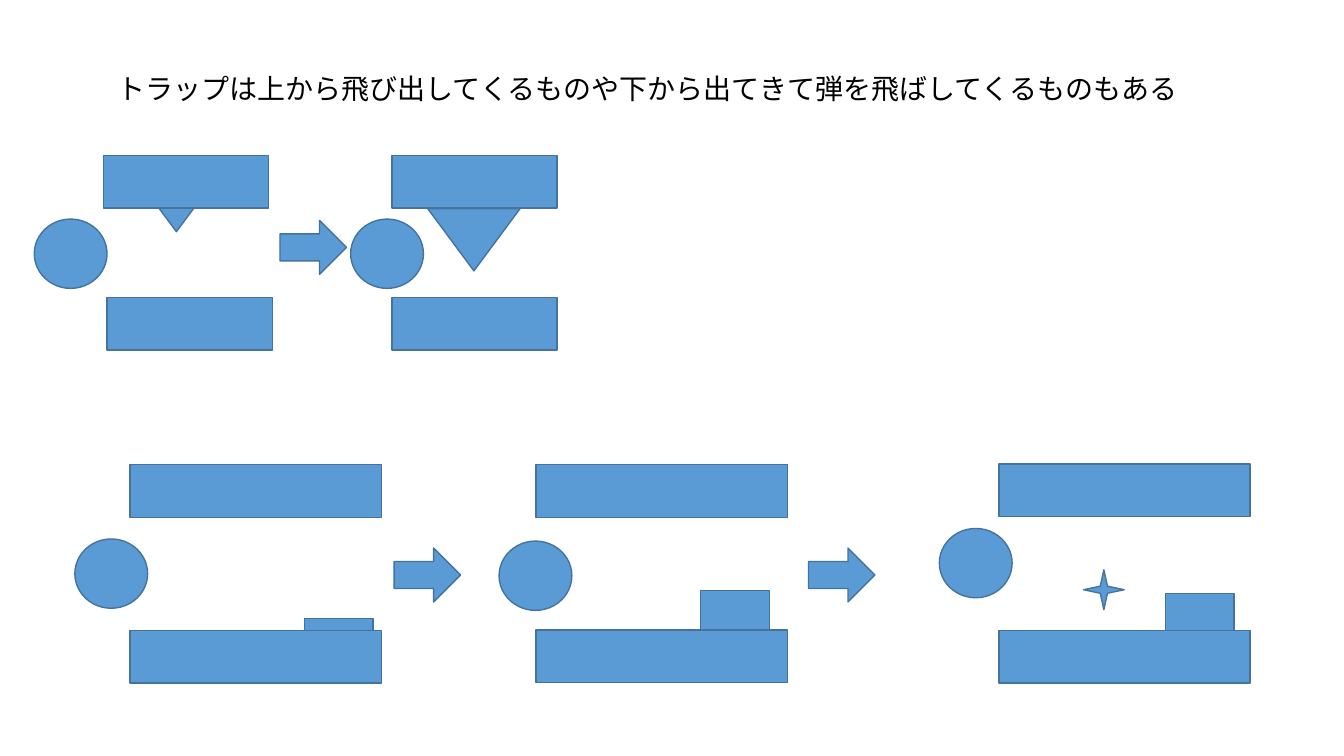
from pptx import Presentation
from pptx.dml.color import RGBColor
from pptx.enum.shapes import MSO_SHAPE
from pptx.enum.text import MSO_ANCHOR, MSO_AUTO_SIZE, PP_ALIGN
from pptx.util import Pt

RECT = MSO_SHAPE.RECTANGLE
OVAL = MSO_SHAPE.OVAL
SPIKE = MSO_SHAPE.ISOSCELES_TRIANGLE
ARROW = MSO_SHAPE.RIGHT_ARROW
STAR = MSO_SHAPE.STAR_4_POINT
LEFT = PP_ALIGN.LEFT
TOP = MSO_ANCHOR.TOP
GROW = MSO_AUTO_SIZE.SHAPE_TO_FIT_TEXT

COLORS = {"fill": "5B9BD5", "line": "43739E", "text": "000000"}
SIZES = {
    "block": (RECT, 118, 37.5),
    "slab": (RECT, 179.5, 37.5),
    "box": (RECT, 49, 27.5),
    "ball": (OVAL, 52, 49.5),
    "spike": (SPIKE, 66, 44.5),
    "arrow": (ARROW, 47.5, 38.5),
    "star": (STAR, 29, 28.5),
}

deck = Presentation()
deck.slide_width = Pt(960)
deck.slide_height = Pt(540)
slide = deck.slides.add_slide(deck.slide_layouts[5])


def add(name, left, top):
    kind, width, height = SIZES[name]
    shape = slide.shapes.add_shape(kind, Pt(left), Pt(top), Pt(width), Pt(height))
    shape.shadow.inherit = False
    shape.fill.solid()
    shape.fill.fore_color.rgb = RGBColor.from_string(COLORS["fill"])
    shape.line.color.rgb = RGBColor.from_string(COLORS["line"])
    shape.line.width = Pt(1)
    return shape


title = slide.shapes.title
title.left, title.top, title.width, title.height = Pt(76.5), Pt(47.5), Pt(782), Pt(31.5)
frame = title.text_frame
frame.text = "トラップは上から飛び出してくるものや下から出てきて弾を飛ばしてくるものもある"
frame.word_wrap = False
frame.auto_size = GROW
frame.vertical_anchor = TOP
para = frame.paragraphs[0]
para.alignment = LEFT
para.font.size = Pt(20)
para.font.name = "Calibri"
para.font.color.rgb = RGBColor.from_string(COLORS["text"])

for roof, floor, ball, spike in [
    (74, 76.5, 24.5, (93, 121)),
    (280, 280, 250.5, (305.5, 149)),
]:
    add("spike", *spike).rotation = 180
    add("block", roof, 111)
    add("block", floor, 212.5)
    add("ball", ball, 156.5)

for left, roof, floor, box, ball in [
    (93, 332, 450.5, (217.5, 442), (53.5, 385)),
    (383, 332, 450, (500.5, 422), (356.5, 386.5)),
    (713.5, 331.5, 450.5, (832.5, 424), (671, 377.5)),
]:
    add("box", *box)
    add("slab", left, roof)
    add("slab", left, floor)
    add("ball", *ball)

for left, top in [(200, 157.5), (281.5, 391.5), (577.5, 391.5)]:
    add("arrow", left, top)
add("star", 774, 407)

deck.save("out.pptx")
